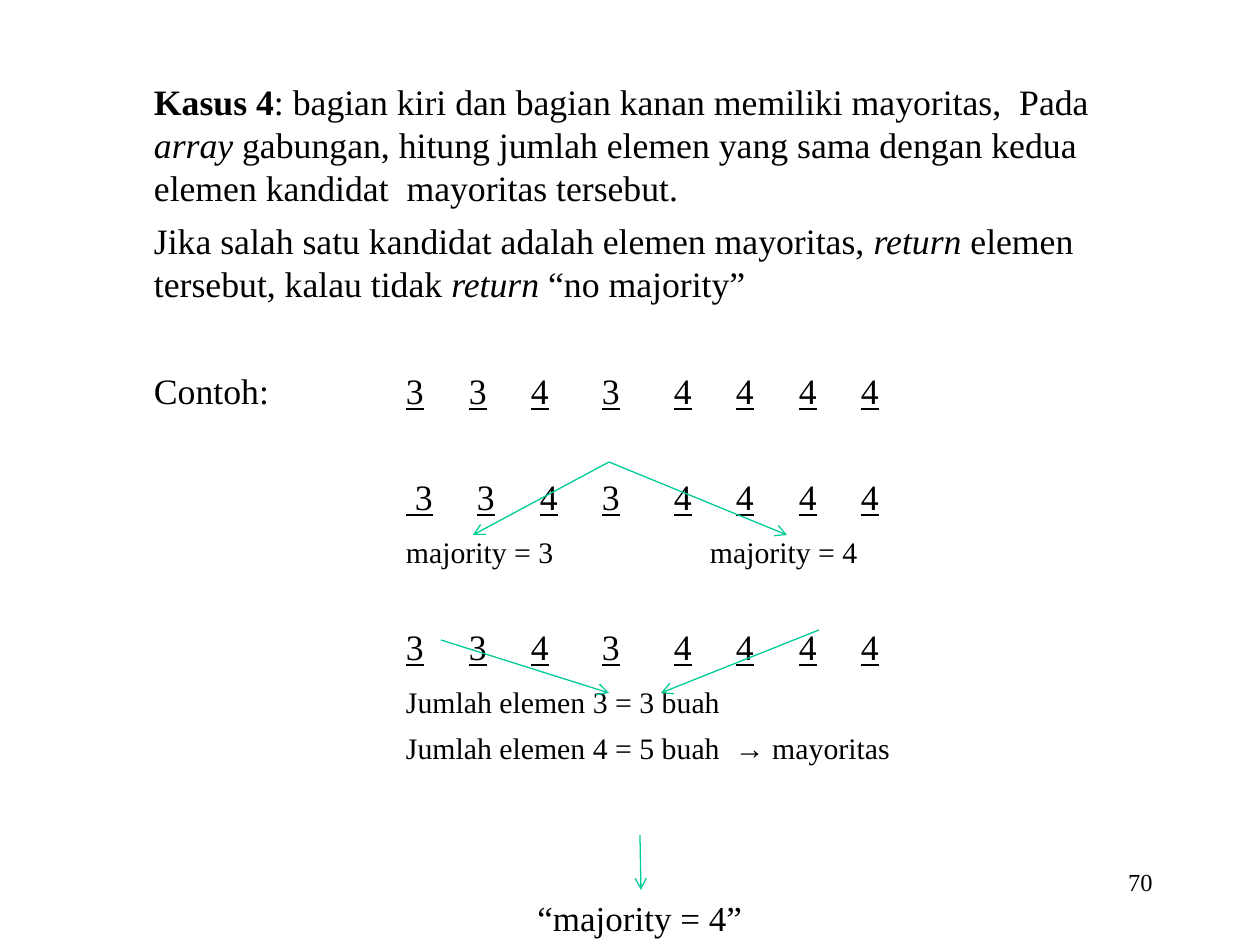
import pptx
import pptx.dml.color
import pptx.enum.shapes
import pptx.enum.text
import pptx.oxml.ns
import pptx.util
from lxml import etree

PX = 914400 // 126
SERIF = "Times New Roman"
ALIGN = pptx.enum.text.PP_ALIGN


def color(value):
    return pptx.dml.color.RGBColor.from_string(value)


def write(paragraph, text, size=20.4, font=SERIF, **style):
    run = paragraph.add_run()
    run.text = text
    run.font.size = pptx.util.Pt(size)
    run.font.name = font
    run.font.color.rgb = color("000000")
    for name, value in style.items():
        setattr(run.font, name, value)


deck = pptx.Presentation()
deck.slide_width = 1260 * PX
deck.slide_height = 945 * PX
slide = deck.slides.add_slide(deck.slide_layouts[6])

# Explanation and worked example: tab stops (px), space before, line height, runs
BOLD, ITALIC, UNDER = {"bold": True}, {"italic": True}, {"underline": True}
SMALL = {"size": 17}
START = 252
right_half = [520, 582, 645, 707]
whole_stops = [START, 315, 377, 448] + right_half
split_stops = [START, 323, 386, 448] + right_half
whole_array = "3\t3\t4\t3\t4\t4\t4\t4"

explanation = [
    ([], 0, 24.6, [
        ("Kasus 4", BOLD),
        (": bagian kiri dan bagian kanan memiliki mayoritas,  Pada ", {}),
        ("array", ITALIC),
        (" gabungan, hitung jumlah elemen yang sama dengan kedua "
         "elemen kandidat  mayoritas tersebut.", {})]),
    ([], 6, 24.6, [
        ("Jika salah satu kandidat adalah elemen mayoritas, ", {}),
        ("return", ITALIC),
        (" elemen tersebut, kalau tidak ", {}),
        ("return", ITALIC),
        (" “no majority”", {})]),
    (whole_stops, 36.5, 24.6, [("Contoh:\t", {}), (whole_array, UNDER)]),
    (split_stops, 36, 24.6, [
        ("\t", {}), (" 3\t3\t4\t3", UNDER), ("\t", {}), ("4\t4\t4\t4", UNDER)]),
    ([START, 556], 5, 24.6, [("\tmajority = 3\tmajority = 4", SMALL)]),
    (whole_stops, 31.5, 24.6, [("\t", {}), (whole_array, UNDER)]),
    ([START], 5, 24.6, [("\tJumlah elemen 3 = 3 buah", SMALL)]),
    ([START], 5, 21.3, [
        ("\tJumlah elemen 4 = 5 buah  ", SMALL),
        ("→", {"size": 17, "font": "Arial"}),
        (" mayoritas", SMALL)]),
]

body = slide.shapes.add_textbox(95 * PX, 73 * PX, 1071 * PX, 766 * PX).text_frame
body.word_wrap = True
body.margin_left = 59 * PX
for index, (stops, before, height, runs) in enumerate(explanation):
    paragraph = body.add_paragraph() if index else body.paragraphs[0]
    paragraph.space_before = pptx.util.Pt(before)
    paragraph.line_spacing = pptx.util.Pt(height)
    if stops:
        properties = paragraph._p.get_or_add_pPr()
        tab_list = etree.SubElement(properties, pptx.oxml.ns.qn("a:tabLst"))
        for stop in stops:
            etree.SubElement(tab_list, pptx.oxml.ns.qn("a:tab"),
                             pos=str(stop * PX), algn="l")
    for text, style in runs:
        write(paragraph, text, **style)

# Page number and final result
for text, size, align, (left, top, width, height) in [
    ("70", 14, ALIGN.RIGHT, (903, 861, 262, 63)),
    ("“majority = 4”", 20, ALIGN.LEFT, (525, 890, 232, 55)),
]:
    frame = slide.shapes.add_textbox(left * PX, top * PX, width * PX, height * PX).text_frame
    frame.word_wrap = True
    frame.paragraphs[0].alignment = align
    write(frame.paragraphs[0], text, size=size)

# Arrows: split, combine, result
for x1, y1, x2, y2 in [
    (609, 462, 473, 535),
    (609, 462, 787, 535),
    (441, 640, 609, 693),
    (819, 630, 661, 693),
    (640, 835, 641, 890),
]:
    arrow = slide.shapes.add_connector(
        pptx.enum.shapes.MSO_CONNECTOR.STRAIGHT, x1 * PX, y1 * PX, x2 * PX, y2 * PX)
    arrow.line.color.rgb = color("00CC98")
    arrow.line.width = pptx.util.Pt(0.75)
    etree.SubElement(arrow.line._get_or_add_ln(), pptx.oxml.ns.qn("a:tailEnd"), type="arrow")
    etree.SubElement(arrow._element.spPr, pptx.oxml.ns.qn("a:effectLst"))

deck.save("out.pptx")
